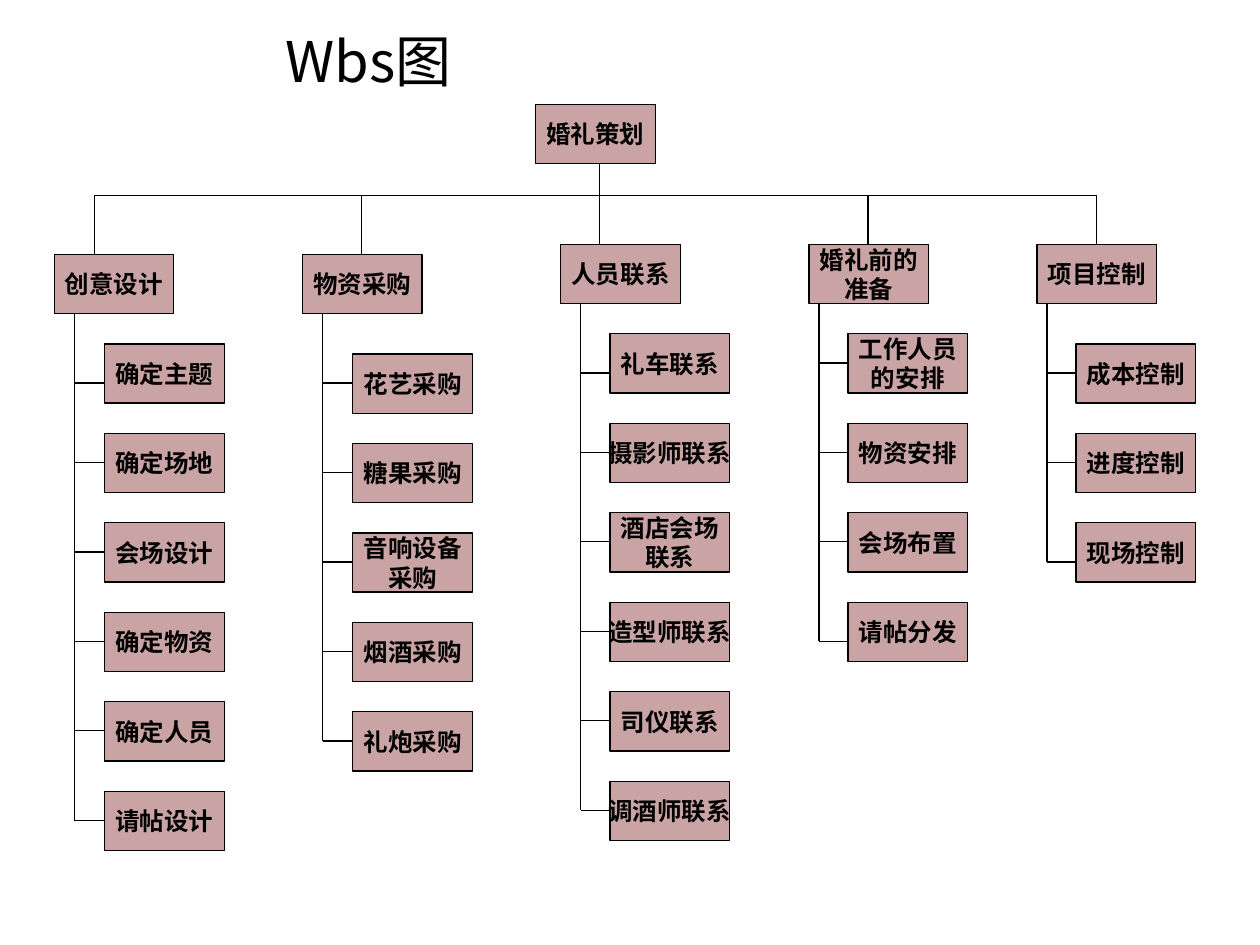
import dataclasses

import lxml.etree
import pptx
import pptx.dml.color
import pptx.enum.shapes
import pptx.enum.text
import pptx.oxml.ns
import pptx.util

Inches = pptx.util.Inches


@dataclasses.dataclass(frozen=True)
class Theme:
    font: str = "Noto Sans CJK SC"
    ink: str = "000000"
    box_fill: str = "CAA4A4"
    title_size: int = 32
    box_size: int = 14
    line_width: float = 0.75


@dataclasses.dataclass(frozen=True)
class Branch:
    name: str
    left: float
    top: float
    drop: float
    spine: float
    tasks_left: float
    tasks_top: float
    tasks: tuple
    low_tick: int = -1


BOX_WIDTH, BOX_HEIGHT = 0.95, 0.47
ROW_PITCH = 0.71
BUS_TOP = 1.55
TICK_OFFSET, LOW_TICK_OFFSET = 0.23, 0.31
ROOT_LEFT, ROOT_TOP = 4.25, 0.83

BRANCHES = (
    Branch("创意设计", 0.43, 2.02, 0.75, 0.59, 0.83, 2.73,
           ("确定主题", "确定场地", "会场设计", "确定物资", "确定人员", "请帖设计"), 0),
    Branch("物资采购", 2.4, 2.02, 2.87, 2.56, 2.8, 2.81,
           ("花艺采购", "糖果采购", "音响设备\n采购", "烟酒采购", "礼炮采购")),
    Branch("人员联系", 4.45, 1.94, 4.76, 4.61, 4.84, 2.65,
           ("礼车联系", "摄影师联系", "酒店会场\n联系", "造型师联系", "司仪联系", "调酒师联系"), 0),
    Branch("婚礼前的\n准备", 6.42, 1.94, 6.89, 6.5, 6.73, 2.65,
           ("工作人员\n的安排", "物资安排", "会场布置", "请帖分发"), 3),
    Branch("项目控制", 8.23, 1.94, 8.7, 8.31, 8.54, 2.73,
           ("成本控制", "进度控制", "现场控制"), 2),
)


def write_text(text_frame, text, *, size, font, color, bold=False,
               alignment=pptx.enum.text.PP_ALIGN.LEFT, wrap=False, indent=0):
    text_frame.word_wrap = wrap
    text_frame.vertical_anchor = pptx.enum.text.MSO_ANCHOR.MIDDLE
    text_frame.text = text
    for paragraph in text_frame.paragraphs:
        paragraph.alignment = alignment
        if indent:
            paragraph._p.get_or_add_pPr().set("marL", str(Inches(indent)))
        for run in paragraph.runs:
            run.font.size = pptx.util.Pt(size)
            run.font.bold = bold
            run.font.name = font
            run.font.color.rgb = pptx.dml.color.RGBColor.from_string(color)
            east_asian = lxml.etree.SubElement(
                run._r.get_or_add_rPr(), pptx.oxml.ns.qn("a:ea"))
            east_asian.set("typeface", font)


class ChartSlide:
    def __init__(self, slide, theme):
        self.slide = slide
        self.theme = theme

    def style_line(self, line):
        line.color.rgb = pptx.dml.color.RGBColor.from_string(self.theme.ink)
        line.width = pptx.util.Pt(self.theme.line_width)

    def title(self, text, left, top, width, height, indent):
        shape = self.slide.shapes.add_textbox(
            Inches(left), Inches(top), Inches(width), Inches(height))
        write_text(shape.text_frame, text, size=self.theme.title_size,
                   font=self.theme.font, color=self.theme.ink, wrap=True, indent=indent)

    def box(self, text, left, top, height=BOX_HEIGHT):
        shape = self.slide.shapes.add_shape(
            pptx.enum.shapes.MSO_SHAPE.RECTANGLE,
            Inches(left), Inches(top), Inches(BOX_WIDTH), Inches(height))
        shape.shadow.inherit = False
        shape.fill.solid()
        shape.fill.fore_color.rgb = pptx.dml.color.RGBColor.from_string(self.theme.box_fill)
        self.style_line(shape.line)
        write_text(shape.text_frame, text, size=self.theme.box_size,
                   font=self.theme.font, color=self.theme.ink, bold=True,
                   alignment=pptx.enum.text.PP_ALIGN.CENTER)

    def line(self, start_x, start_y, end_x, end_y):
        connector = self.slide.shapes.add_connector(
            pptx.enum.shapes.MSO_CONNECTOR.STRAIGHT,
            Inches(start_x), Inches(start_y), Inches(end_x), Inches(end_y))
        self.style_line(connector.line)
        lxml.etree.SubElement(
            connector._element.spPr, pptx.oxml.ns.qn("a:effectLst"))

    def branch(self, branch):
        self.box(branch.name, branch.left, branch.top)
        self.line(branch.drop, BUS_TOP, branch.drop, branch.top)
        for row, task in enumerate(branch.tasks):
            top = branch.tasks_top + row * ROW_PITCH
            offset = LOW_TICK_OFFSET if row == branch.low_tick else TICK_OFFSET
            tick = top + offset
            self.box(task, branch.tasks_left, top)
            self.line(branch.spine, tick, branch.tasks_left, tick)
        self.line(branch.spine, branch.top + BOX_HEIGHT, branch.spine, tick)


def main():
    presentation = pptx.Presentation()
    presentation.slide_width = Inches(10)
    presentation.slide_height = Inches(7.5)
    slide = presentation.slides.add_slide(presentation.slide_layouts[6])
    chart = ChartSlide(slide, Theme())

    chart.title("Wbs图", 0.59, 0.28, 9, 0.39, indent=1.58)
    chart.box("婚礼策划", ROOT_LEFT, ROOT_TOP)
    chart.line(BRANCHES[0].drop, BUS_TOP, BRANCHES[-1].drop, BUS_TOP)
    chart.line(BRANCHES[2].drop, ROOT_TOP + BOX_HEIGHT, BRANCHES[2].drop, BUS_TOP)
    for branch in BRANCHES:
        chart.branch(branch)

    presentation.save("out.pptx")


if __name__ == "__main__":
    main()
